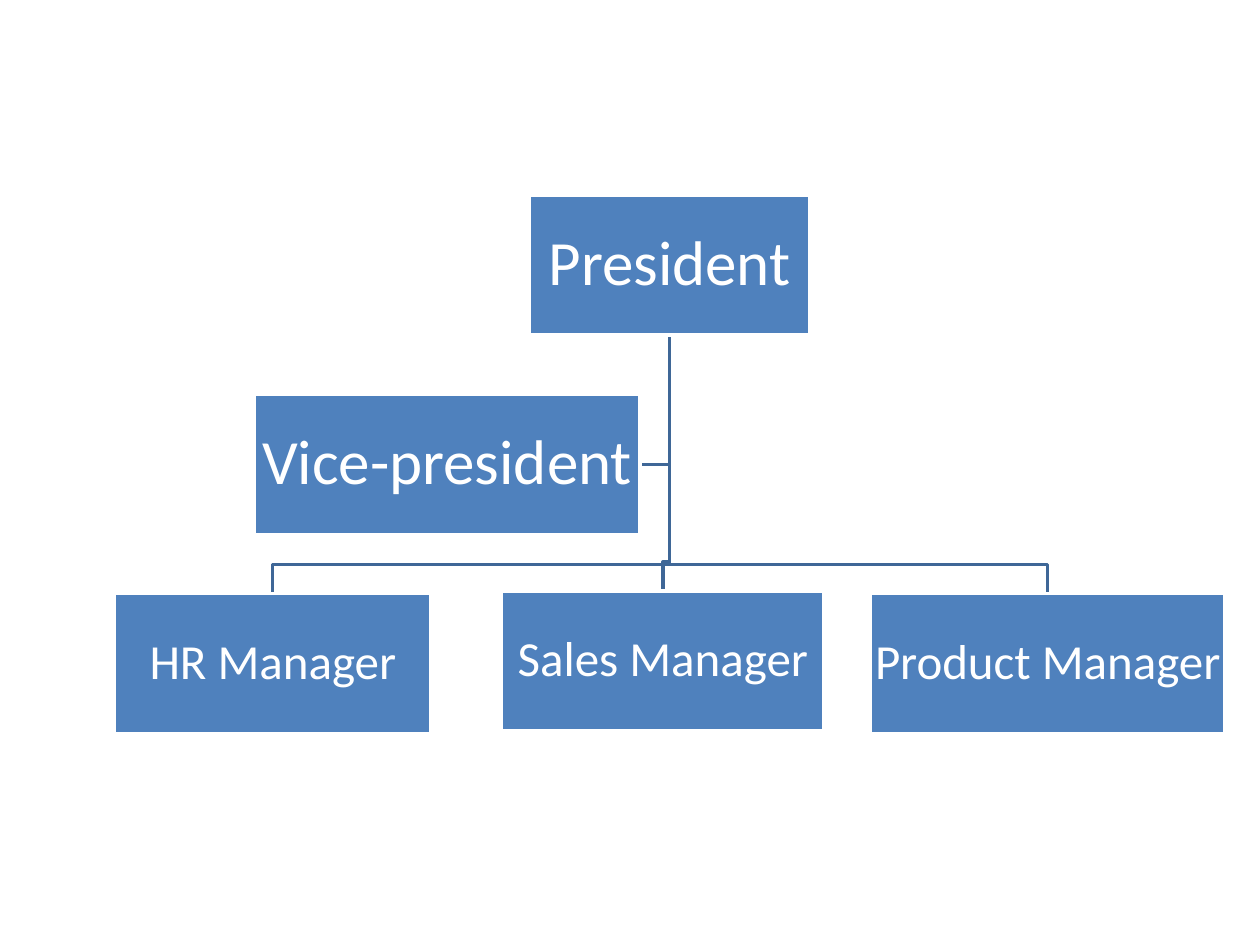
from collections import namedtuple

from pptx import Presentation
from pptx.dml.color import RGBColor
from pptx.enum.shapes import MSO_SHAPE
from pptx.enum.text import MSO_ANCHOR, PP_ALIGN
from pptx.util import Pt

RECTANGLE = MSO_SHAPE.RECTANGLE
MIDDLE = MSO_ANCHOR.MIDDLE
CENTER = PP_ALIGN.CENTER

Box = namedtuple("Box", "left top width height")

BOX_HEIGHT = 80
DROP = 16.5
PRESIDENT = Box(302.4, 111.6, 160.6, BOX_HEIGHT)
VICE_PRESIDENT = Box(145.4, 225.4, 220.3, BOX_HEIGHT)
MANAGERS = [
    ("HR Manager", Box(65.5, 339.1, 180.7, BOX_HEIGHT)),
    ("Sales Manager", Box(286.6, 337.7, 184.3, BOX_HEIGHT)),
    ("Product Manager", Box(497.5, 339.1, 202.3, BOX_HEIGHT)),
]


def color(hex_value):
    return RGBColor.from_string(hex_value)


def add_branch(slide, points):
    start, *corners = [(Pt(x), Pt(y)) for x, y in points]
    builder = slide.shapes.build_freeform(*start)
    builder.add_line_segments(corners, close=False)
    branch = builder.convert_to_shape()
    branch.shadow.inherit = False
    branch.fill.background()
    branch.line.color.rgb = color("3F6797")
    branch.line.width = Pt(2)


def add_position(slide, title, box, size, inset):
    position = slide.shapes.add_shape(RECTANGLE, *map(Pt, box))
    position.shadow.inherit = False
    position.fill.solid()
    position.fill.fore_color.rgb = color("4F81BD")
    position.line.color.rgb = color("FFFFFF")
    position.line.width = Pt(2)
    frame = position.text_frame
    frame.word_wrap = False
    frame.vertical_anchor = MIDDLE
    frame.margin_left = frame.margin_right = Pt(inset)
    frame.margin_top = frame.margin_bottom = Pt(inset)
    paragraph = frame.paragraphs[0]
    paragraph.alignment = CENTER
    paragraph.line_spacing = 0.9
    run = paragraph.add_run()
    run.text = title
    run.font.name = "Calibri"
    run.font.size = Pt(size)
    run.font.color.rgb = color("FFFFFF")


def add_branches(slide, head, assistant, reports):
    trunk = head.left + head.width / 2
    origin = (trunk, head.top + head.height)
    assistant_middle = assistant.top + assistant.height / 2
    add_branch(slide, [
        origin,
        (trunk, assistant_middle),
        (assistant.left + assistant.width, assistant_middle),
    ])
    for report in reports:
        center = report.left + report.width / 2
        bend = report.top - DROP
        add_branch(slide, [origin, (trunk, bend), (center, bend), (center, report.top)])


def main():
    deck = Presentation()
    deck.slide_width, deck.slide_height = Pt(720), Pt(540)
    slide = deck.slides.add_slide(deck.slide_layouts[6])
    add_branches(slide, PRESIDENT, VICE_PRESIDENT, [box for _, box in MANAGERS])
    add_position(slide, "President", PRESIDENT, 36, 2)
    for title, box in MANAGERS:
        add_position(slide, title, box, 28, 1.5)
    add_position(slide, "Vice-president", VICE_PRESIDENT, 36, 2)
    deck.save("out.pptx")


if __name__ == "__main__":
    main()
